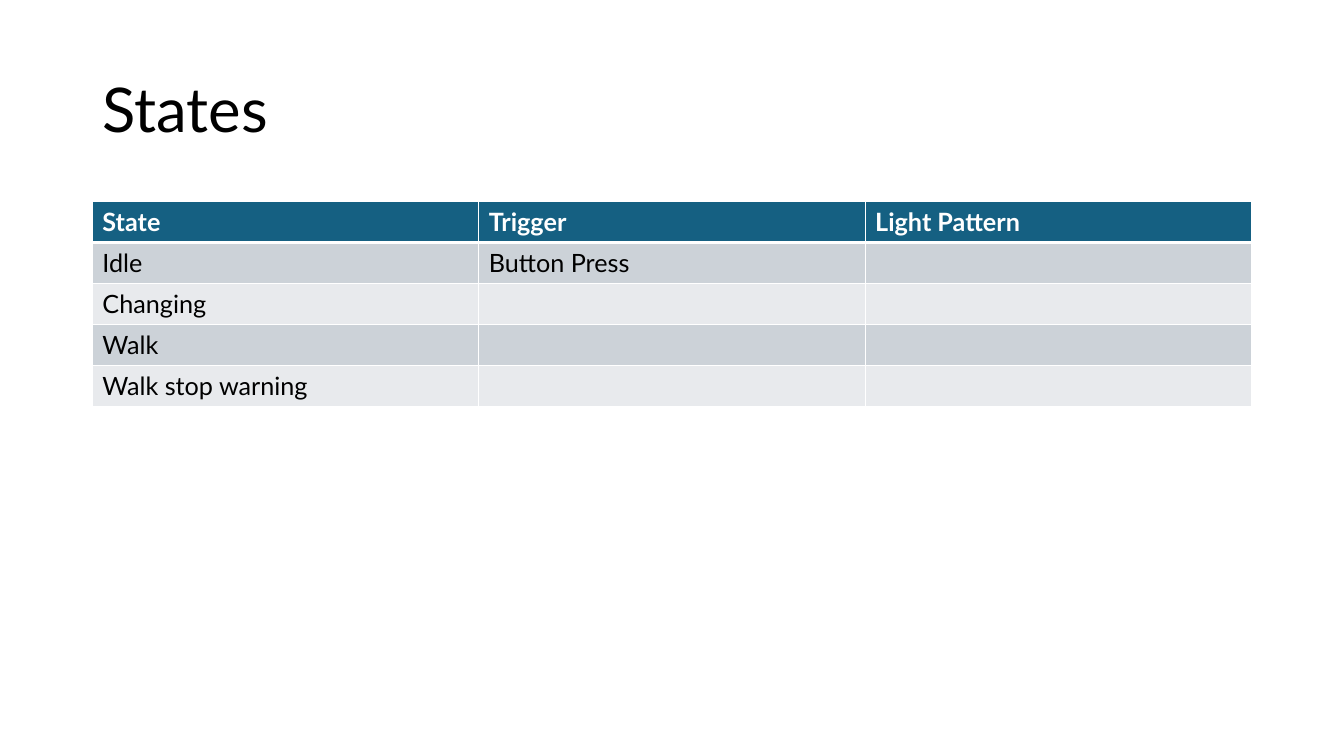
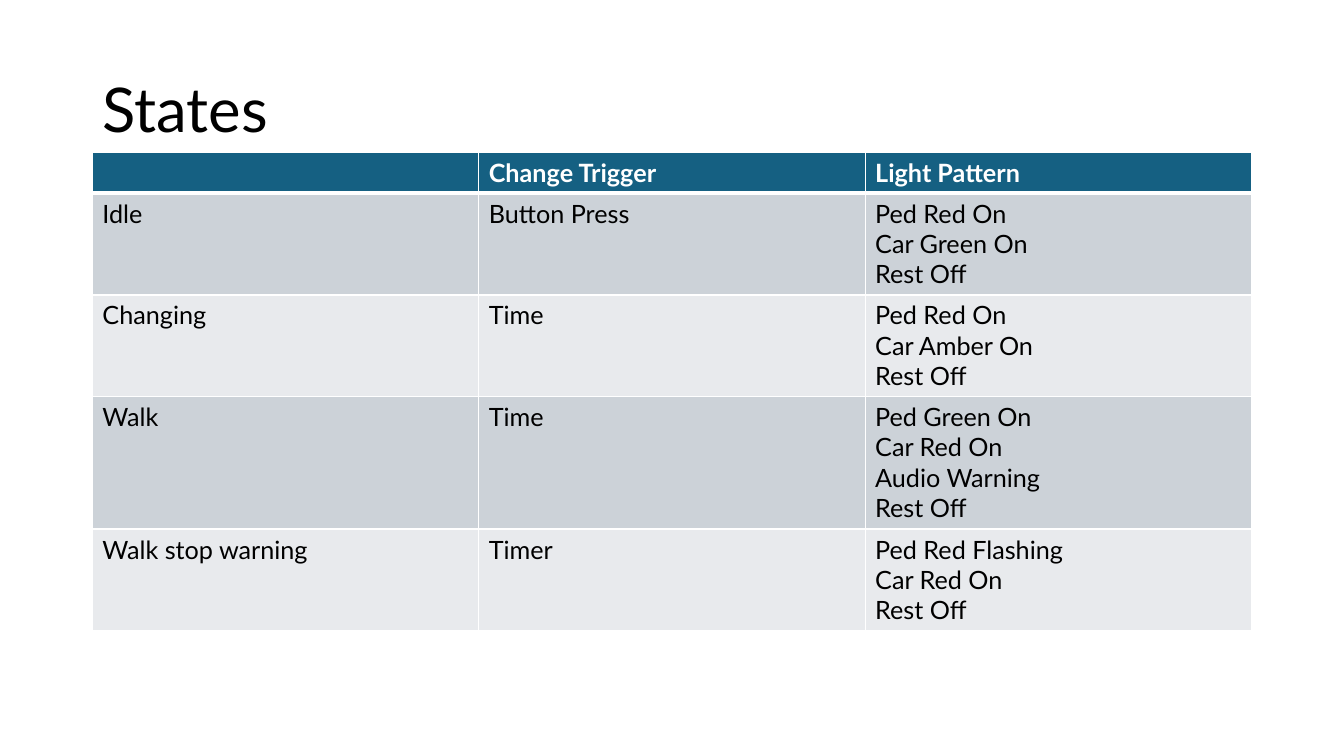
from lxml import etree
from pptx import Presentation
from pptx import util as u
from pptx.dml.color import RGBColor
from pptx.enum import text
from pptx.oxml.ns import qn

PX = 9525  # EMU per px, 96 px to the inch
WIDTH, HEIGHT = 1280, 720
MARGIN = 88
CONTENT_WIDTH = WIDTH - 2 * MARGIN
TITLE_TOP, TITLE_HEIGHT = 38, 139
ROW_HEIGHT, LINE_HEIGHT = 39, 29

BLACK = RGBColor(0x00, 0x00, 0x00)
WHITE = RGBColor(0xFF, 0xFF, 0xFF)
HEADER_FILL = RGBColor(0x15, 0x60, 0x82)
BAND_FILLS = (RGBColor(0xCC, 0xD2, 0xD8), RGBColor(0xE8, 0xEA, 0xED))

FONT = "Lato"
TITLE_FORMAT = {"name": FONT, "size": u.Pt(44), "bold": False, "color": BLACK}
HEADER_FORMAT = {"name": FONT, "size": u.Pt(18), "bold": True, "color": WHITE}
BODY_FORMAT = {**HEADER_FORMAT, "bold": False, "color": BLACK}
THIN, THICK = u.Pt(1), u.Pt(3)


def px(length):
    return u.Emu(length * PX)


class Deck:
    """Holds the shared style and the current slide."""

    def __init__(self):
        self.presentation = Presentation()
        self.presentation.slide_width = px(WIDTH)
        self.presentation.slide_height = px(HEIGHT)
        self.slide = None

    def new_slide(self, title):
        layout = self.presentation.slide_layouts[6]
        self.slide = self.presentation.slides.add_slide(layout)
        self.title(title)

    def fill_text(self, frame, content, style):
        frame.text = content
        for paragraph in frame.paragraphs:
            for run in paragraph.runs:
                for name, value in style.items():
                    if name == "color":
                        run.font.color.rgb = value
                    else:
                        setattr(run.font, name, value)

    def title(self, content):
        box = self.slide.shapes.add_textbox(
            px(MARGIN), px(TITLE_TOP), px(CONTENT_WIDTH), px(TITLE_HEIGHT))
        frame = box.text_frame
        frame.word_wrap = True
        frame.vertical_anchor = text.MSO_ANCHOR.MIDDLE
        self.fill_text(frame, content, TITLE_FORMAT)
        frame.paragraphs[0].line_spacing = 0.9

    def borders(self, cell, top, bottom):
        properties = cell._tc.get_or_add_tcPr()
        sides = {"lnL": THIN, "lnR": THIN, "lnT": top, "lnB": bottom}
        for position, (side, width) in enumerate(sides.items()):
            line = etree.Element(qn(f"a:{side}"), w=str(int(width)))
            fill = etree.SubElement(line, qn("a:solidFill"))
            etree.SubElement(fill, qn("a:srgbClr"), val=str(WHITE))
            properties.insert(position, line)

    def table(self, top, rows):
        # Rows grow with the tallest cell
        heights = [ROW_HEIGHT + LINE_HEIGHT * max(cell.count("\n") for cell in row)
                   for row in rows]
        columns = len(rows[0])
        table = self.slide.shapes.add_table(
            len(rows), columns, px(MARGIN), px(top),
            px(CONTENT_WIDTH), px(sum(heights))).table
        for column in table.columns:
            column.width = px(CONTENT_WIDTH // columns)
        for index, row in enumerate(rows):
            table.rows[index].height = px(heights[index])
            header = index == 0
            for column, content in enumerate(row):
                cell = table.cell(index, column)
                cell.fill.solid()
                cell.fill.fore_color.rgb = (
                    HEADER_FILL if header else BAND_FILLS[(index - 1) % 2])
                self.borders(cell, THICK if index == 1 else THIN,
                             THICK if header else THIN)
                self.fill_text(cell.text_frame, content,
                               HEADER_FORMAT if header else BODY_FORMAT)


def main():
    deck = Deck()

    # States, first outline
    deck.new_slide("States")
    deck.table(192, [
        ("State", "Trigger", "Light Pattern"),
        ("Idle", "Button Press", ""),
        ("Changing", "", ""),
        ("Walk", "", ""),
        ("Walk stop warning", "", ""),
    ])

    # States with triggers and lights
    deck.new_slide("States")
    deck.table(145, [
        ("", "Change Trigger", "Light Pattern"),
        ("Idle", "Button Press", "Ped Red On\nCar Green On\nRest Off"),
        ("Changing", "Time", "Ped Red On\nCar Amber On\nRest Off"),
        ("Walk", "Time", "Ped Green On\nCar Red On\nAudio Warning\nRest Off"),
        ("Walk stop warning", "Timer", "Ped Red Flashing\nCar Red On\nRest Off"),
    ])

    deck.presentation.save("out.pptx")


if __name__ == "__main__":
    main()
